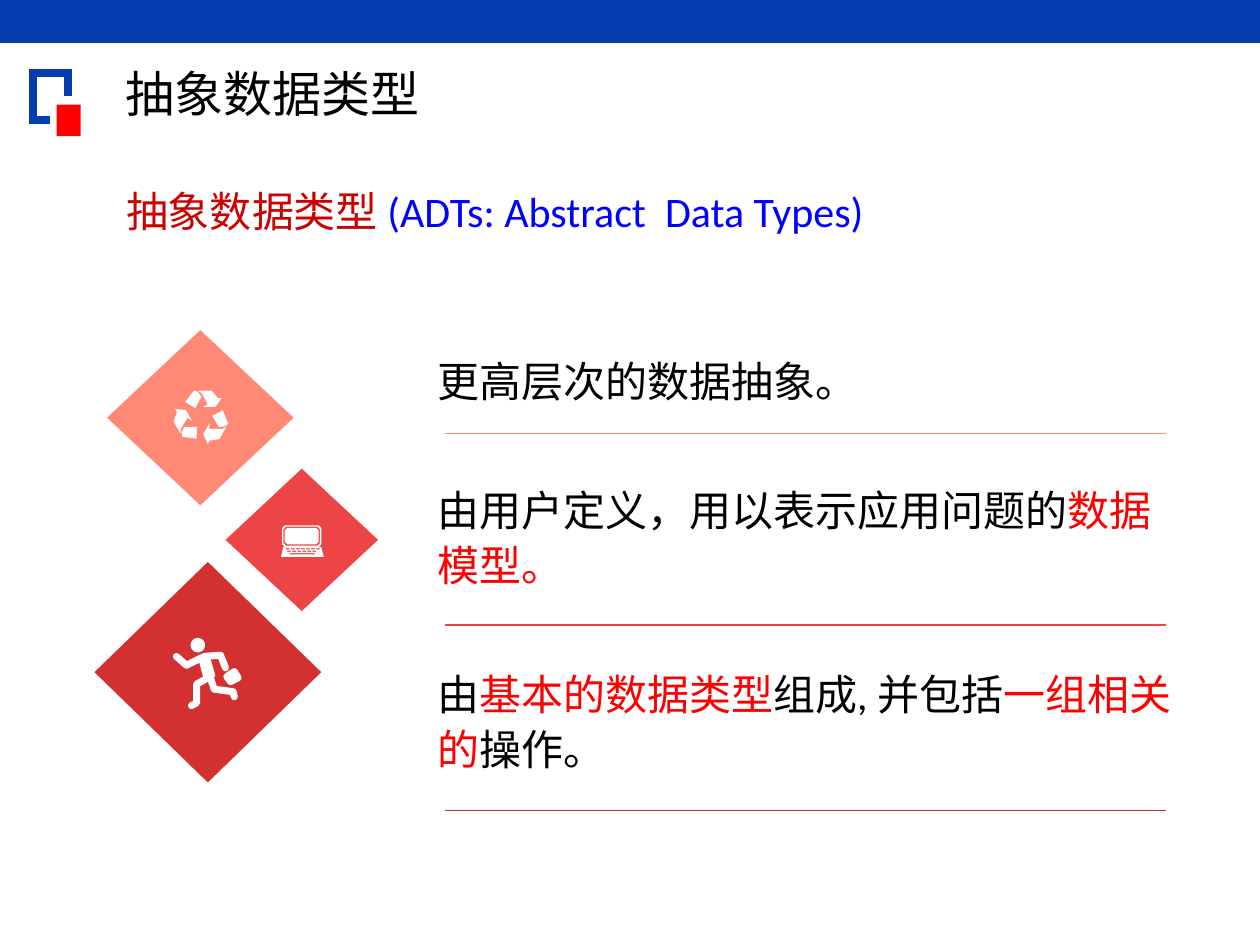
import math

import pptx
import pptx.dml.color
import pptx.enum.shapes
import pptx.enum.text
import pptx.oxml.ns
import pptx.util

Inches = pptx.util.Inches
Pt = pptx.util.Pt
RGBColor = pptx.dml.color.RGBColor
SHAPE = pptx.enum.shapes.MSO_SHAPE
MIDDLE = pptx.enum.text.MSO_ANCHOR.MIDDLE
qn = pptx.oxml.ns.qn

BLUE = RGBColor(0x05, 0x3C, 0xAF)
LINK_BLUE = RGBColor(0x00, 0x00, 0xFF)
RED = RGBColor(0xFF, 0x00, 0x00)
DARK_RED = RGBColor(0xCC, 0x00, 0x00)
SALMON = RGBColor(0xFF, 0x89, 0x75)
CORAL = RGBColor(0xED, 0x45, 0x45)
CRIMSON = RGBColor(0xD3, 0x31, 0x31)
BLACK = RGBColor(0x00, 0x00, 0x00)
WHITE = RGBColor(0xFF, 0xFF, 0xFF)


def add_filled(shapes, preset, box, color):
    part = shapes.add_shape(preset, *map(Inches, box))
    part.shadow.inherit = False
    part.fill.solid()
    part.fill.fore_color.rgb = color
    part.line.fill.background()


def add_runs(paragraph, runs, size):
    """Append (text, colour) runs to the paragraph."""
    for text, color in runs:
        run = paragraph.add_run()
        run.text = text
        for key, value in {"name": "Calibri", "size": Pt(size), "bold": False}.items():
            setattr(run.font, key, value)
        run.font.color.rgb = color


deck = pptx.Presentation()
deck.slide_width, deck.slide_height = Inches(10), Inches(7.5)
slide = deck.slides.add_slide(deck.slide_layouts[1])
shapes = slide.shapes

# Top band and corner mark: an open square bracket with a red block
add_filled(shapes, SHAPE.RECTANGLE, (0, 0, 10, 0.34), BLUE)
left, top, right, bottom = map(Inches, (0.26, 0.58, 0.54, 0.95))
builder = shapes.build_freeform(Inches(0.4), bottom)
builder.add_line_segments(
    [(left, bottom), (left, top), (right, top), (right, Inches(0.76))], close=False)
bracket = builder.convert_to_shape()
bracket.shadow.inherit = False
bracket.fill.background()
bracket.line.color.rgb = BLUE
bracket.line.width = Pt(4.5)
bracket_stroke = bracket._element.spPr.find(qn("a:ln"))
bracket_stroke.append(bracket_stroke.makeelement(qn("a:miter"), {"lim": "800000"}))
add_filled(shapes, SHAPE.RECTANGLE, (0.45, 0.83, 0.19, 0.25), RED)

# Title and body placeholders
title, body = shapes.title, slide.placeholders[1]
for holder, box in ((title, (0.9, 1.15, 7.51, 1.1)), (body, (2.87, 2.73, 6.66, 3.69))):
    holder.left, holder.top, holder.width, holder.height = map(Inches, box)
    holder.text_frame.auto_size = pptx.enum.text.MSO_AUTO_SIZE.NONE
title.text_frame.vertical_anchor = MIDDLE
term = title.text_frame.paragraphs[0]
term.alignment = pptx.enum.text.PP_ALIGN.LEFT
term.line_spacing = 0.9
add_runs(term, [("抽象数据类型 ", DARK_RED), ("(ADTs: Abstract  Data Types)", LINK_BLUE)], 24)

statements = [
    [("更高层次的数据抽象。", BLACK)],
    [("由用户定义，用以表示应用问题的", BLACK), ("数据模型。", RED)],
    [("由", BLACK), ("基本的数据类型", RED), ("组成, 并包括", BLACK),
     ("一组相关的", RED), ("操作。", BLACK)],
]
for index, runs in enumerate(statements):
    statement = body.text_frame.paragraphs[0] if index == 0 else body.text_frame.add_paragraph()
    properties = statement._p.get_or_add_pPr()
    properties.set("marL", str(Inches(0.5)))
    properties.set("indent", "0")
    properties.append(properties.makeelement(qn("a:buNone"), {}))
    spacing = {"level": 1, "line_spacing": 1.1, "space_before": Pt(42 if index else 0)}
    for key, value in spacing.items():
        setattr(statement, key, value)
    add_runs(statement, runs, 24)

# Section heading
heading = shapes.add_textbox(*map(Inches, (0.9, 0.43, 3.52, 0.62))).text_frame
heading.word_wrap = True
heading.vertical_anchor = MIDDLE
add_runs(heading.paragraphs[0], [("抽象数据类型", BLACK)], 28)
heading_font = heading.paragraphs[0].runs[0].font
heading_font.name = "Noto Sans CJK SC"
heading_font._element.append(
    heading_font._element.makeelement(qn("a:ea"), {"typeface": "Noto Sans CJK SC"}))

# Diamonds
diamonds = shapes.add_group_shape().shapes
for box, color in (
    ((0.85, 2.62, 1.48, 1.39), SALMON),
    ((0.75, 4.46, 1.8, 1.75), CRIMSON),
    ((1.79, 3.72, 1.21, 1.13), CORAL),
):
    add_filled(diamonds, SHAPE.FLOWCHART_DECISION, box, color)

# Recycling icon: one bent arrow, in two pieces, turned three times about the centre
center_x, center_y = 1.6, 3.31
fold = [(-0.06, -0.21), (-0.13, -0.12), (-0.05, -0.07), (0, -0.16), (-0.03, -0.2)]
arrow = [(-0.03, -0.21), (0.08, -0.21), (0.13, -0.15), (0.16, -0.15), (0.11, -0.08),
         (0.01, -0.08), (0.05, -0.1), (0, -0.19)]
recycling = []
for turn in range(3):
    cos, sin = math.cos(turn * math.tau / 3), math.sin(turn * math.tau / 3)
    for piece in (fold, arrow):
        recycling.append([(center_x + x * cos - y * sin, center_y + x * sin + y * cos)
                          for x, y in piece])

# Runner icon: joints of a stick figure, thickened by the outline of the shape
head_x, head_y, head_radius, head_sides = 1.57, 5.12, 0.03, 12
head = [(head_x + head_radius * math.cos(n * math.tau / head_sides),
         head_y + head_radius * math.sin(n * math.tau / head_sides))
        for n in range(head_sides)]
torso = [(1.6, 5.22), (1.64, 5.22), (1.68, 5.36), (1.64, 5.37)]
briefcase = [(1.8, 5.37), (1.86, 5.33), (1.89, 5.38), (1.83, 5.41)]
back_arm = [(1.6, 5.22), (1.48, 5.28), (1.4, 5.21)]
front_arm = [(1.62, 5.21), (1.75, 5.2), (1.79, 5.3)]
back_leg = [(1.65, 5.38), (1.56, 5.43), (1.56, 5.58), (1.52, 5.6)]
front_leg = [(1.67, 5.38), (1.7, 5.47), (1.85, 5.49), (1.86, 5.53)]
runner = [head, torso, briefcase]
for limb in (back_arm, front_arm, back_leg, front_leg):
    runner.append(limb + limb[-2:0:-1])  # out and back, so that no area is enclosed

# Laptop icon: nested lid outlines, a base, and keys cut out of the base
laptop = [[(2.25, 4.34), (2.55, 4.34), (2.57, 4.42), (2.23, 4.42)]]
corner = 0.02
for margin in (0, 0.01, 0.02):
    left, right = 2.26 - margin, 2.53 + margin
    top, bottom = 4.19 - margin, 4.32 + margin
    laptop.append([
        (left + corner, top), (right - corner, top), (right, top + corner),
        (right, bottom - corner), (right - corner, bottom), (left + corner, bottom),
        (left, bottom - corner), (left, top + corner),
    ])
key_gap, key_height = 0.01, 0.01
for left, top, key_width, count in ((2.27, 4.35, 0.03, 7), (2.28, 4.37, 0.03, 6),
                                    (2.3, 4.39, 0.2, 1)):
    for n in range(count):
        x = left + n * (key_width + key_gap)
        laptop.append([(x, top), (x + key_width, top),
                       (x + key_width, top + key_height), (x, top + key_height)])

for outlines, stroke_width in ((recycling, 0), (runner, 4), (laptop, 0)):
    builder = None
    for outline in outlines:
        start, *rest = [(Inches(x), Inches(y)) for x, y in outline]
        if builder is None:
            builder = diamonds.build_freeform(*start)
        else:
            builder.move_to(*start)
        builder.add_line_segments(rest, close=True)
    icon = builder.convert_to_shape()
    icon.shadow.inherit = False
    icon.fill.solid()
    icon.fill.fore_color.rgb = WHITE
    if stroke_width:
        icon.line.color.rgb = WHITE
        icon.line.width = Pt(stroke_width)
        stroke = icon._element.spPr.find(qn("a:ln"))
        stroke.append(stroke.makeelement(qn("a:round"), {}))
    else:
        icon.line.fill.background()

# Rules under the statements
for y, color in ((3.44, SALMON), (4.96, CORAL), (6.43, CRIMSON)):
    rule = shapes.add_connector(pptx.enum.shapes.MSO_CONNECTOR.STRAIGHT,
                                Inches(3.53), Inches(y), Inches(9.25), Inches(y))
    rule.line.color.rgb = color
    rule.line.width = Pt(0.75)
    properties = rule._element.spPr
    properties.append(properties.makeelement(qn("a:effectLst"), {}))

deck.save("out.pptx")
